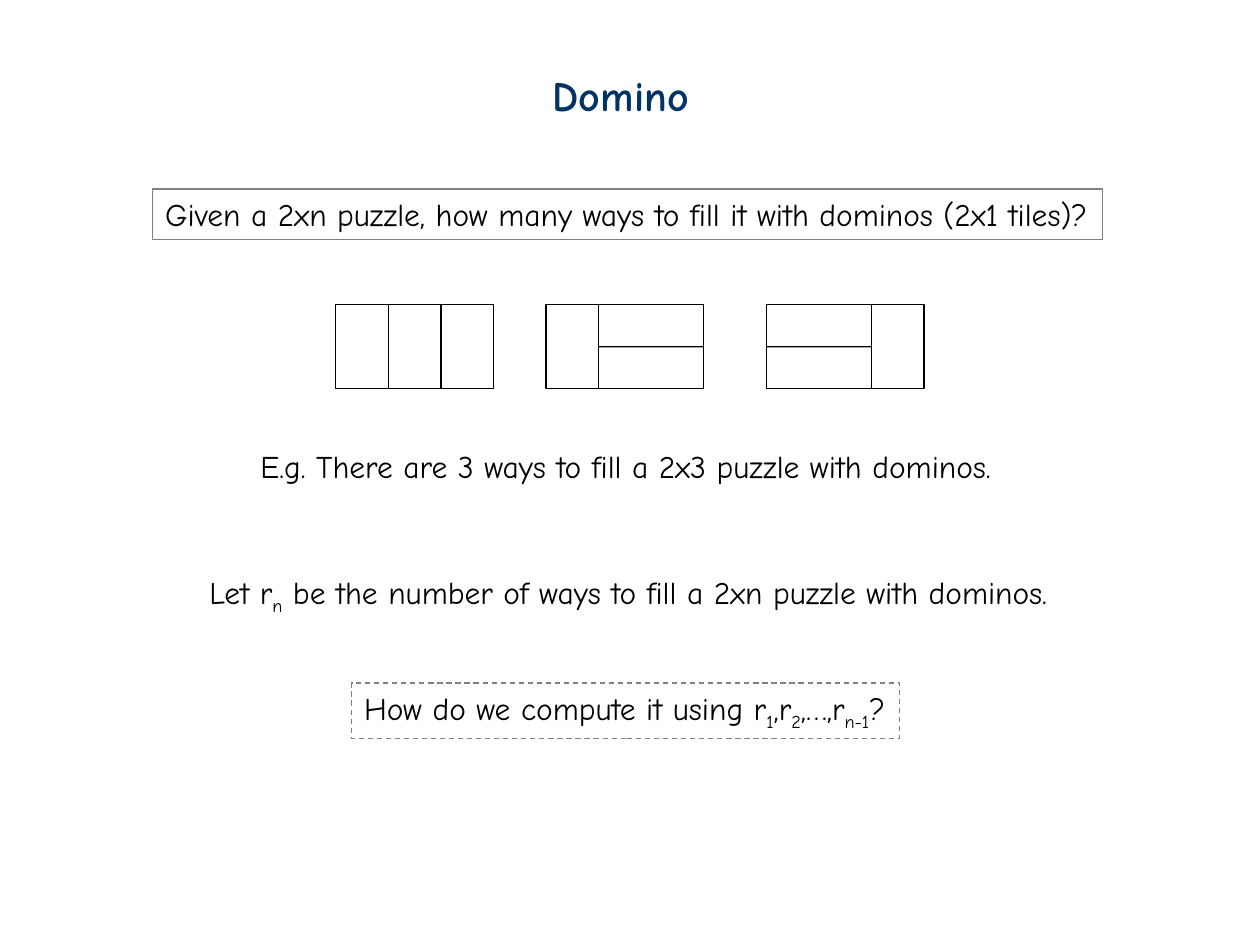
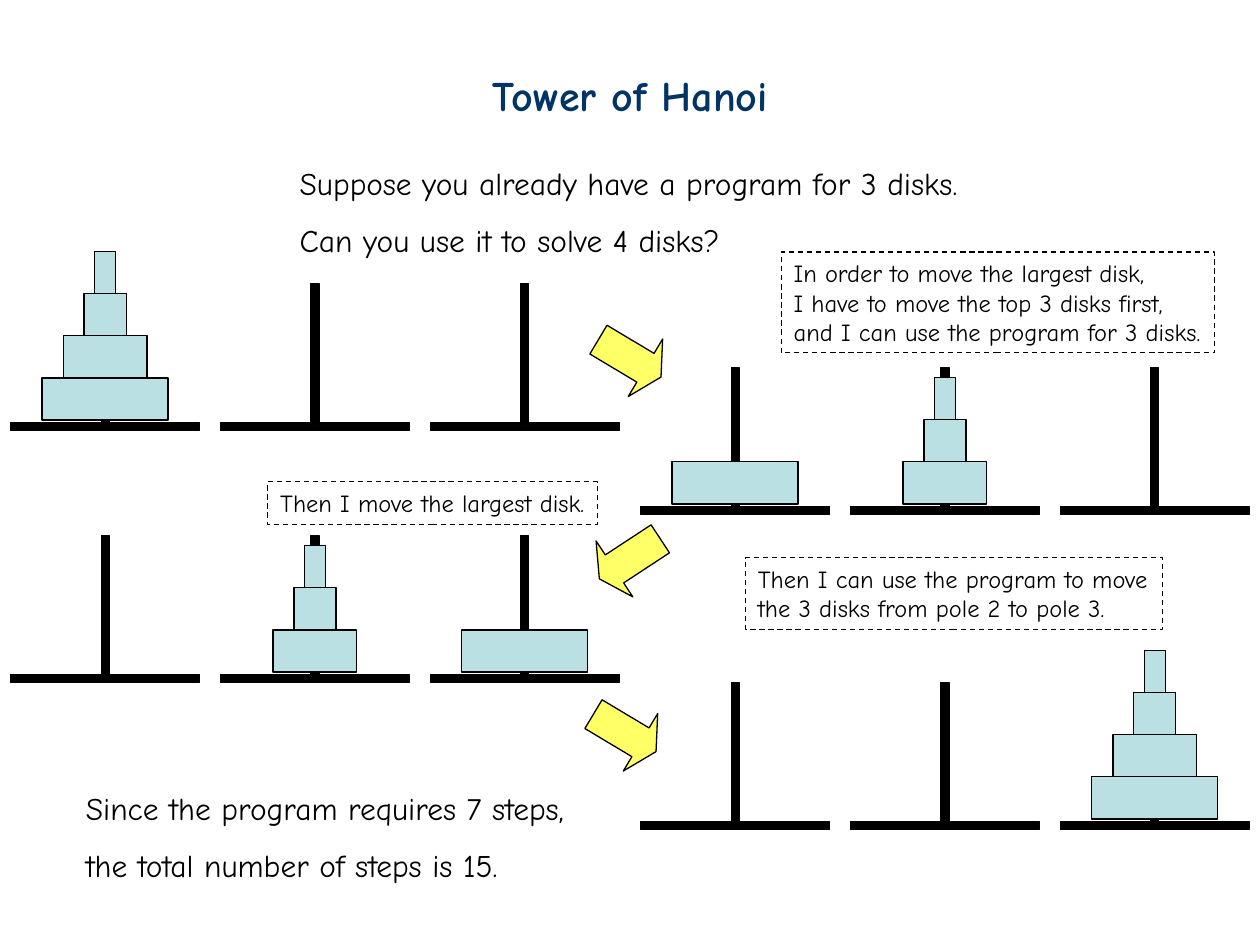
from lxml.etree import SubElement
from pptx import Presentation
from pptx.dml.color import RGBColor
from pptx.enum.dml import MSO_LINE
from pptx.enum.shapes import MSO_CONNECTOR, MSO_SHAPE as SHAPE
from pptx.enum.text import MSO_ANCHOR, MSO_AUTO_SIZE, PP_ALIGN
from pptx.oxml.ns import qn
from pptx.util import Cm, Pt

NAVY = RGBColor(0x00, 0x33, 0x66)
BLACK = RGBColor(0x00, 0x00, 0x00)
GREY = RGBColor(0x80, 0x80, 0x80)
DISK_BLUE = RGBColor(0xBB, 0xE0, 0xE3)
ARROW_YELLOW = RGBColor(0xFF, 0xFF, 0x66)
FONT = "Comic Neue"
LINE = Pt(0.75)


def write(s, text, x, y, w, h, size=18, color=BLACK, bold=False, frame=None,
          dash=False, spacing=1.0, sp=None):
    """Set text in sp or a new text box; _x_ is a subscript, spacing follows line 1."""
    sp = sp or s.shapes.add_textbox(0, 0, 0, 0)
    sp.left, sp.top, sp.width, sp.height = Cm(x), Cm(y), Cm(w), Cm(h)
    if frame is not None:
        sp.line.color.rgb = frame
        sp.line.width = LINE
        if dash:
            sp.line.dash_style = MSO_LINE.DASH
    tf = sp.text_frame
    tf.word_wrap = False
    tf.auto_size = MSO_AUTO_SIZE.SHAPE_TO_FIT_TEXT
    tf.vertical_anchor = MSO_ANCHOR.TOP
    for i, line in enumerate(text.split("\n")):
        p = tf.add_paragraph() if i else tf.paragraphs[0]
        p.alignment = PP_ALIGN.LEFT
        p.line_spacing = spacing if i else 1.0
        for j, part in enumerate(line.split("_")):
            r = p.add_run()
            r.text = part
            r.font.name, r.font.size, r.font.bold = FONT, Pt(size), bold
            r.font.color.rgb = color
            if j % 2:
                r.font._element.set("baseline", "-25000")


def draw(s, x, y, w, h, fill=None, kind=SHAPE.RECTANGLE):
    sp = s.shapes.add_shape(kind, Cm(x), Cm(y), Cm(w), Cm(h))
    sp.shadow.inherit = False
    if fill is None:
        sp.fill.background()
    else:
        sp.fill.solid()
        sp.fill.fore_color.rgb = fill
    sp.line.color.rgb = BLACK
    sp.line.width = LINE
    return sp


prs = Presentation()
prs.slide_width, prs.slide_height = Cm(25.4), Cm(19.05)
slides = []
for title, x, w in [("Domino", 10.89, 3.6), ("Tower of Hanoi", 9.68, 6.4)]:
    s = prs.slides.add_slide(prs.slide_layouts[5])
    write(s, title, x, 1.27, w, 1.27, size=24, color=NAVY, bold=True, sp=s.shapes.title)
    slides.append(s)
domino, hanoi = slides

# Domino: the three fillings of a 2x3 board
write(domino, "Given a 2xn puzzle, how many ways to fill it with dominos (2x1 tiles)?",
      3.08, 3.81, 19.15, 1.02, frame=GREY)

BOARD_TOP, TILE_W, TILE_H = 6.14, 1.06, 0.85
# Board left, then dividers as (column, row) ends, with the side they meet at its middle
boards = [
    (6.77, [(1, 0, 1, 2, None), (2, 0, 2, 2, None)]),
    (11.01, [(1, 0, 1, 2, None), (1, 1, 3, 1, "right")]),
    (15.45, [(2, 0, 2, 2, None), (0, 1, 2, 1, "left")]),
]
for left, dividers in boards:
    board = draw(domino, left, BOARD_TOP, 3 * TILE_W, 2 * TILE_H)
    for col1, row1, col2, row2, side in dividers:
        line = domino.shapes.add_connector(
            MSO_CONNECTOR.STRAIGHT,
            Cm(left + col1 * TILE_W), Cm(BOARD_TOP + row1 * TILE_H),
            Cm(left + col2 * TILE_W), Cm(BOARD_TOP + row2 * TILE_H))
        line.line.color.rgb = BLACK
        line.line.width = LINE
        SubElement(line._element.spPr, qn("a:effectLst"))
        if side == "left":
            line.begin_connect(board, 1)
        elif side == "right":
            line.end_connect(board, 3)

write(domino, "E.g. There are 3 ways to fill a 2x3 puzzle with dominos.", 5, 8.89, 15.29, 1.02)
write(domino, "Let r_n_ be the number of ways to fill a 2xn puzzle with dominos.",
      3.97, 11.43, 17.45, 1.12)
write(domino, "How do we compute it using r_1_,r_2_,…,r_n-1_?",
      7.09, 13.77, 11.05, 1.12, frame=GREY, dash=True)

# Tower of Hanoi: four states of three poles, disks listed from the bottom up
POLE_PITCH, POLE_H, BAR = 4.23, 2.96, 0.16
BASE_W, BASE_DROP = 3.81, 2.8
DISK_H, DISK_DROP = 0.85, 2.75
DISK_W = {1: 0.42, 2: 0.85, 3: 1.69, 4: 2.54}
LEFT_X, RIGHT_X = 2.12, 14.82
states = [
    (LEFT_X, 5.72, [(4, 3, 2, 1), (), ()]),
    (RIGHT_X, 7.41, [(4,), (3, 2, 1), ()]),
    (LEFT_X, 10.8, [(), (3, 2, 1), (4,)]),
    (RIGHT_X, 13.76, [(), (), (4, 3, 2, 1)]),
]
for first_x, top, poles in states:
    for i, disks in enumerate(poles):
        mid = first_x + i * POLE_PITCH
        draw(hanoi, mid - BAR / 2, top, BAR, POLE_H, BLACK)
        draw(hanoi, mid - BASE_W / 2, top + BASE_DROP, BASE_W, BAR, BLACK)
        for level, disk in enumerate(disks, 1):
            w = DISK_W[disk]
            draw(hanoi, mid - w / 2, top + DISK_DROP - level * DISK_H, w, DISK_H, DISK_BLUE)

for x, y, angle in [(11.96, 6.55, 30.9), (11.96, 10.59, 146.7), (11.86, 14.1, 30.9)]:
    arrow = draw(hanoi, x, y, 1.47, 1.35, ARROW_YELLOW, SHAPE.RIGHT_ARROW)
    arrow.adjustments[1] = 0.27
    arrow.rotation = angle

write(hanoi, "Suppose you already have a program for 3 disks.\nCan you use it to solve 4 disks?",
      5.79, 3.18, 13.84, 2.16, spacing=1.5)
write(hanoi, "Since the program requires 7 steps,\nthe total number of steps is 15.",
      1.48, 15.78, 10.21, 2.16, spacing=1.5)

notes = [
    ("In order to move the largest disk,\nI have to move the top 3 disks first,\n"
     "and I can use the program for 3 disks.", 15.75, 5.08, 8.74, 2.03),
    ("Then I move the largest disk.", 5.4, 9.71, 6.65, 0.86),
    ("Then I can use the program to move\nthe 3 disks from pole 2 to pole 3.",
     15.03, 11.24, 8.41, 1.45),
]
for note in notes:
    write(hanoi, *note, size=14, frame=BLACK, dash=True)

prs.save("out.pptx")
